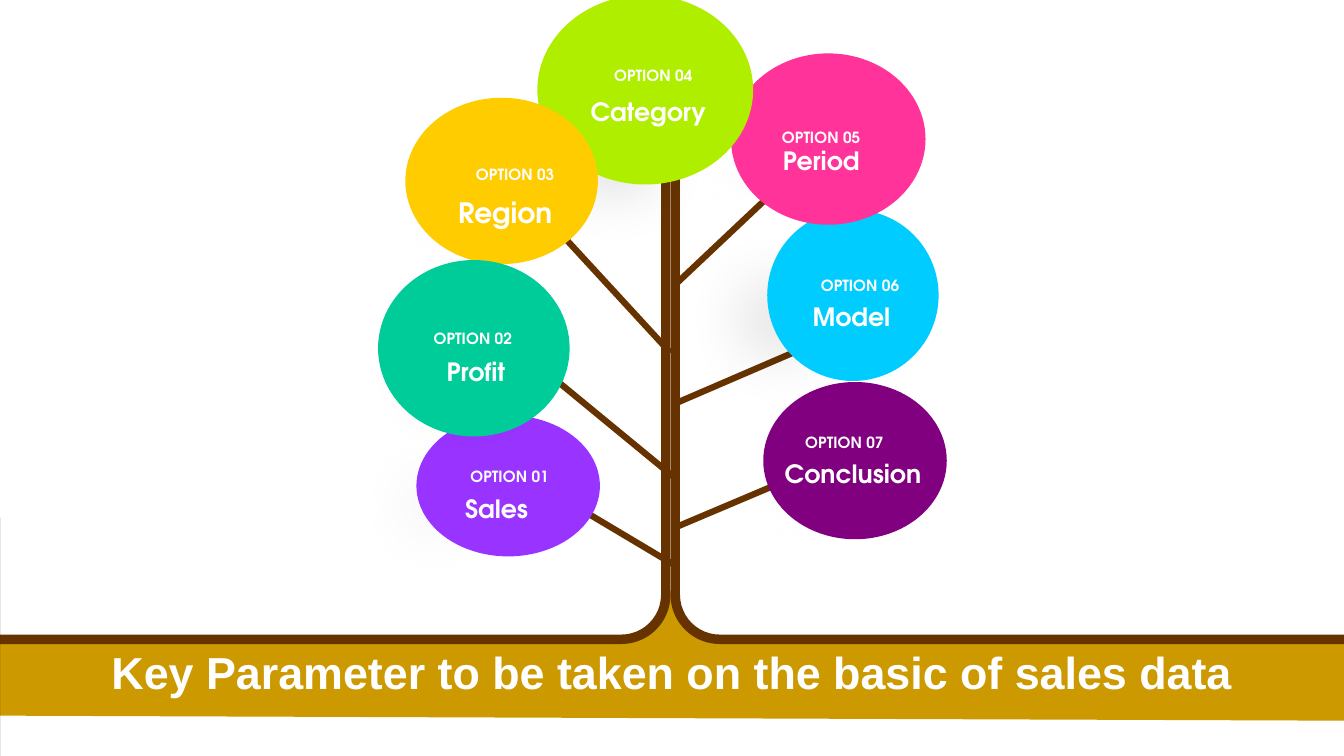
"""Builds a tree slide whose seven round leaves name the key sales parameters."""
import pptx
import pptx.util
import pptx.dml.color
import pptx.enum.shapes
import pptx.enum.text
import pptx.oxml
import pptx.oxml.ns
import lxml.etree

Inches = pptx.util.Inches
Pt = pptx.util.Pt
Kind = pptx.enum.shapes.MSO_SHAPE

TITLE = "Key Parameter to be taken on the basic of sales data"
FACE = "TeX Gyre Adventor"
WHITE, BROWN, SOIL = "FFFFFF", "663300", "CC9900"

GROUND = [(-0.02, 6.33), (6.21, 6.36), (6.51, 6.2), (6.63, 5.82), (6.81, 6.2),
          (7.16, 6.36), (11.29, 6.34), (13.37, 6.34), (13.35, 7.15), (-0.03, 7.1)]

TRUNK = [((0, 1.29, 6.65, 6.26), False), ((6.65, 1.29, 6.68, 6.26), True)]
BENDS = (0.015, 0.193, 0, 0.078)

TWIGS = [
    (6.65, 3.5, 5.38, 2.12),
    (6.68, 2.84, 7.75, 1.83),
    (6.68, 4.73, 5.38, 3.66),
    (6.68, 4.01, 8.05, 3.42),
    (6.68, 5.6, 5.74, 5.04),
    (6.68, 5.24, 7.72, 4.8),
]

# number, name, name size, colour, shade, disc, label left/top/width, name left/top/width
LEAVES = [
    ("01", "Sales ", 18, "9933FF", (3.03, 4.01, 2.56, 2.01), (4.13, 4.12, 1.82, 1.4),
     (4.29, 4.58, 1.53), (3.81, 4.84, 2.3)),
    ("07", "Conclusion", 18, "800080", (6.67, 3.89, 2.32, 1.97), (7.57, 3.79, 1.82, 1.56),
     (7.68, 4.25, 1.39), (7.67, 4.5, 1.58)),
    ("06", "Model", 18, "00CCFF", (6.47, 1.91, 2.5, 2.5), (7.61, 2.08, 1.7, 1.7),
     (7.94, 2.69, 1.18), (7.52, 2.94, 1.85)),
    ("05", "Period", 18, "FF3399", (6.36, 0.68, 2.17, 2.09), (7.25, 0.53, 1.93, 1.7),
     (7.61, 1.22, 1.07), (7.05, 1.39, 2.19)),
    ("04", "Category", 18, "B0EE00", (4.71, 0.34, 2.74, 2.41), (5.33, -0.05, 2.14, 1.88),
     (5.81, 0.61, 1.34), (5.13, 0.91, 2.6)),
    ("03", "Region", 20, "FFCC00", (3.6, 0.87, 2.17, 2.35), (4.02, 0.97, 1.91, 1.65),
     (4.6, 1.59, 1.02), (4.05, 1.89, 1.92)),
    ("02", "Profit", 18, "00CC99", (3.29, 2.39, 2.5, 2.5), (3.75, 2.58, 1.9, 1.75),
     (4.1, 3.22, 1.18), (3.79, 3.49, 1.86)),
]


def tint(fmt, color):
    fmt.rgb = pptx.dml.color.RGBColor.from_string(color)


def paint(shape, color):
    shape.shadow.inherit = False
    shape.fill.solid()
    tint(shape.fill.fore_color, color)
    shape.line.fill.background()
    return shape


def add(home, kind, box, color):
    return paint(home.add_shape(kind, *map(Inches, box)), color)


def child(node, tag, **attrs):
    return lxml.etree.SubElement(node, pptx.oxml.ns.qn(tag), **attrs)


def soften(shape):
    props = shape.element.spPr
    child(props.xpath("a:solidFill/a:srgbClr")[0], "a:alpha", val="21000")
    child(props.xpath("a:effectLst")[0], "a:softEdge", rad=str(Pt(50)))


def write(frame, text, size, face):
    frame.word_wrap = True
    frame.text = text
    para = frame.paragraphs[0]
    para.alignment = pptx.enum.text.PP_ALIGN.CENTER
    font = para.runs[0].font
    font.name, font.size, font.bold = face, Pt(size), True
    tint(font.color, WHITE)


def label(home, spot, high, text, size):
    frame = home.add_textbox(*map(Inches, (*spot, high))).text_frame
    write(frame, text, size, FACE)
    frame.auto_size = pptx.enum.text.MSO_AUTO_SIZE.SHAPE_TO_FIT_TEXT


def main():
    deck = pptx.Presentation()
    deck.slide_width, deck.slide_height = Inches(13.33), Inches(7.5)
    shapes = deck.slides.add_slide(deck.slide_layouts[6]).shapes

    points = [(Inches(x), Inches(y)) for x, y in GROUND]
    pen = shapes.build_freeform(*points[0])
    pen.add_line_segments(points[1:], close=True)
    ground = paint(pen.convert_to_shape(), SOIL)
    write(ground.text_frame, TITLE, 32, "Arial")
    ground.text_frame.vertical_anchor = pptx.enum.text.MSO_ANCHOR.MIDDLE
    ground.text_frame.margin_top = Inches(0.4)

    trunk = shapes.add_group_shape().shapes
    for box, flip in TRUNK:
        half = add(trunk, Kind.BENT_ARROW, box, BROWN)
        half.rotation = 180
        for i, bend in enumerate(BENDS):
            half.adjustments[i] = bend
        if flip:
            half.element.spPr.xfrm.set("flipH", "1")

    for ends in TWIGS:
        twig = shapes.add_connector(pptx.enum.shapes.MSO_CONNECTOR.STRAIGHT, *map(Inches, ends))
        tint(twig.line.color, BROWN)
        twig.line.width = Pt(4.5)
        child(twig.element.spPr, "a:effectLst")

    for num, name, size, color, shade, disc, tag, spot in LEAVES:
        leaf = shapes.add_group_shape().shapes
        soften(add(leaf, Kind.OVAL, shade, "000000"))
        add(leaf, Kind.OVAL, disc, color)
        label(leaf, tag, 0.29, "OPTION " + num, 11)
        label(leaf, spot, 0.4, name, size)

    deck.save("out.pptx")


if __name__ == "__main__":
    main()
